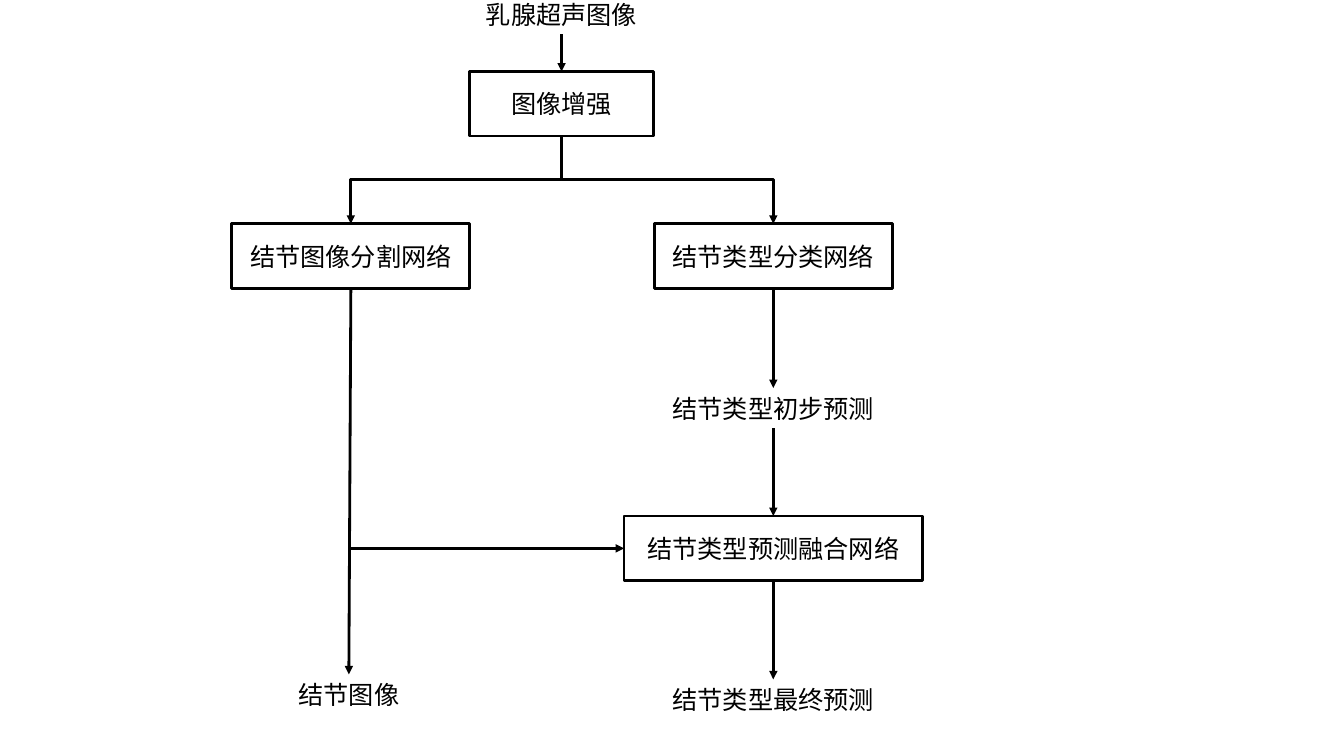
from pptx import Presentation
from pptx import util as u
from pptx.dml import color
from pptx.enum import shapes, text
from pptx.oxml import ns, xmlchemy

FONT = "Noto Sans CJK SC"
BLACK, WHITE = "000000", "FFFFFF"
LEFT_X, MID_X, RIGHT_X = 3.48, 5.57, 7.67
BOX_H, LABEL_H = 0.64, 0.4


def rgb(value):
    """Turn a hex string into a colour."""
    return color.RGBColor.from_string(value)


def add_child(parent, tag, **attrs):
    """Append an XML element with the given attributes."""
    child = xmlchemy.OxmlElement(tag)
    for name, value in attrs.items():
        child.set(name, value)
    parent.append(child)


def write(sp, words, **frame_format):
    """Put one centred line of text in a shape."""
    tf = sp.text_frame
    for name, value in frame_format.items():
        setattr(tf, name, value)
    p = tf.paragraphs[0]
    p.alignment = text.PP_ALIGN.CENTER
    r = p.add_run()
    r.text = words
    for name, value in {"name": FONT, "size": u.Pt(18)}.items():
        setattr(r.font, name, value)
    r.font.color.rgb = rgb(BLACK)
    add_child(r.font._element, "a:ea", typeface=FONT)


def style_line(line):
    """Give an outline its colour and width."""
    line.color.rgb = rgb(BLACK)
    line.width = u.Pt(2)


def add_box(s, words, center, top, width):
    """Draw a process box centred on a column."""
    bounds = map(u.Inches, (center - width / 2, top, width, BOX_H))
    sp = s.shapes.add_shape(shapes.MSO_SHAPE.RECTANGLE, *bounds)
    sp.shadow.inherit = False
    sp.fill.solid()
    sp.fill.fore_color.rgb = rgb(WHITE)
    style_line(sp.line)
    write(sp, words, word_wrap=True, vertical_anchor=text.MSO_ANCHOR.MIDDLE)


def add_label(s, words, center, top, width):
    """Write a data label centred on a column."""
    bounds = map(u.Inches, (center - width / 2, top, width, LABEL_H))
    sp = s.shapes.add_textbox(*bounds)
    write(sp, words, word_wrap=True,
          auto_size=text.MSO_AUTO_SIZE.SHAPE_TO_FIT_TEXT)


def add_arrow(s, x1, y1, x2, y2, kind=shapes.MSO_CONNECTOR.STRAIGHT):
    """Draw a connector that ends in an arrowhead."""
    arrow = s.shapes.add_connector(kind, *map(u.Inches, (x1, y1, x2, y2)))
    style_line(arrow.line)
    add_child(arrow.line._get_or_add_ln(), "a:tailEnd", type="triangle")
    add_child(arrow._element.spPr, "a:effectLst")
    return arrow


def add_branch(s, x1, y1, x2, y2):
    """Draw an elbow arrow that leaves and arrives vertically."""
    mid_x, mid_y = (x1 + x2) / 2, (y1 + y2) / 2
    half_span, half_drop = abs(x2 - x1) / 2, (y2 - y1) / 2
    side = 1 if x2 > x1 else -1
    arrow = add_arrow(s, mid_x + side * half_drop, mid_y - half_span,
                      mid_x - side * half_drop, mid_y + half_span,
                      shapes.MSO_CONNECTOR.ELBOW)
    degrees = 270 if side > 0 else 90
    xfrm = arrow._element.spPr.find(ns.qn("a:xfrm"))
    xfrm.set("rot", str(degrees * 60000))


def main():
    """Build the flowchart slide."""
    prs = Presentation()
    prs.slide_width, prs.slide_height = u.Inches(13.33), u.Inches(7.5)
    s = prs.slides.add_slide(prs.slide_layouts[6])

    enhance_y, network_y, fusion_y = 0.71, 2.22, 5.12
    input_y, first_y, mask_y, final_y = -0.06, 3.85, 6.69, 6.74
    fusion_w = 2.96

    for box in (
        ("图像增强", MID_X, enhance_y, 1.83),
        ("结节图像分割网络", LEFT_X, network_y, 2.36),
        ("结节类型分类网络", RIGHT_X, network_y, 2.36),
        ("结节类型预测融合网络", RIGHT_X, fusion_y, fusion_w),
    ):
        add_box(s, *box)

    for label in (
        ("乳腺超声图像", MID_X, input_y, 2.36),
        ("结节类型初步预测", RIGHT_X, first_y, 2.83),
        ("结节类型最终预测", RIGHT_X, final_y, 6.67),
        ("结节图像", LEFT_X - 0.02, mask_y, 6.67),
    ):
        add_label(s, *label)

    network_end, fusion_mid = network_y + BOX_H, fusion_y + BOX_H / 2
    for ends in (
        (MID_X, input_y + LABEL_H, MID_X, enhance_y),
        (LEFT_X, network_end, LEFT_X - 0.02, mask_y),
        (RIGHT_X, network_end, RIGHT_X, first_y),
        (RIGHT_X, first_y + LABEL_H, RIGHT_X, fusion_y),
        (RIGHT_X, fusion_y + BOX_H, RIGHT_X, final_y),
        (LEFT_X, fusion_mid, RIGHT_X - fusion_w / 2, fusion_mid),
    ):
        add_arrow(s, *ends)

    for x in (LEFT_X, RIGHT_X):
        add_branch(s, MID_X, enhance_y + BOX_H, x, network_y)

    prs.save("out.pptx")


main()
